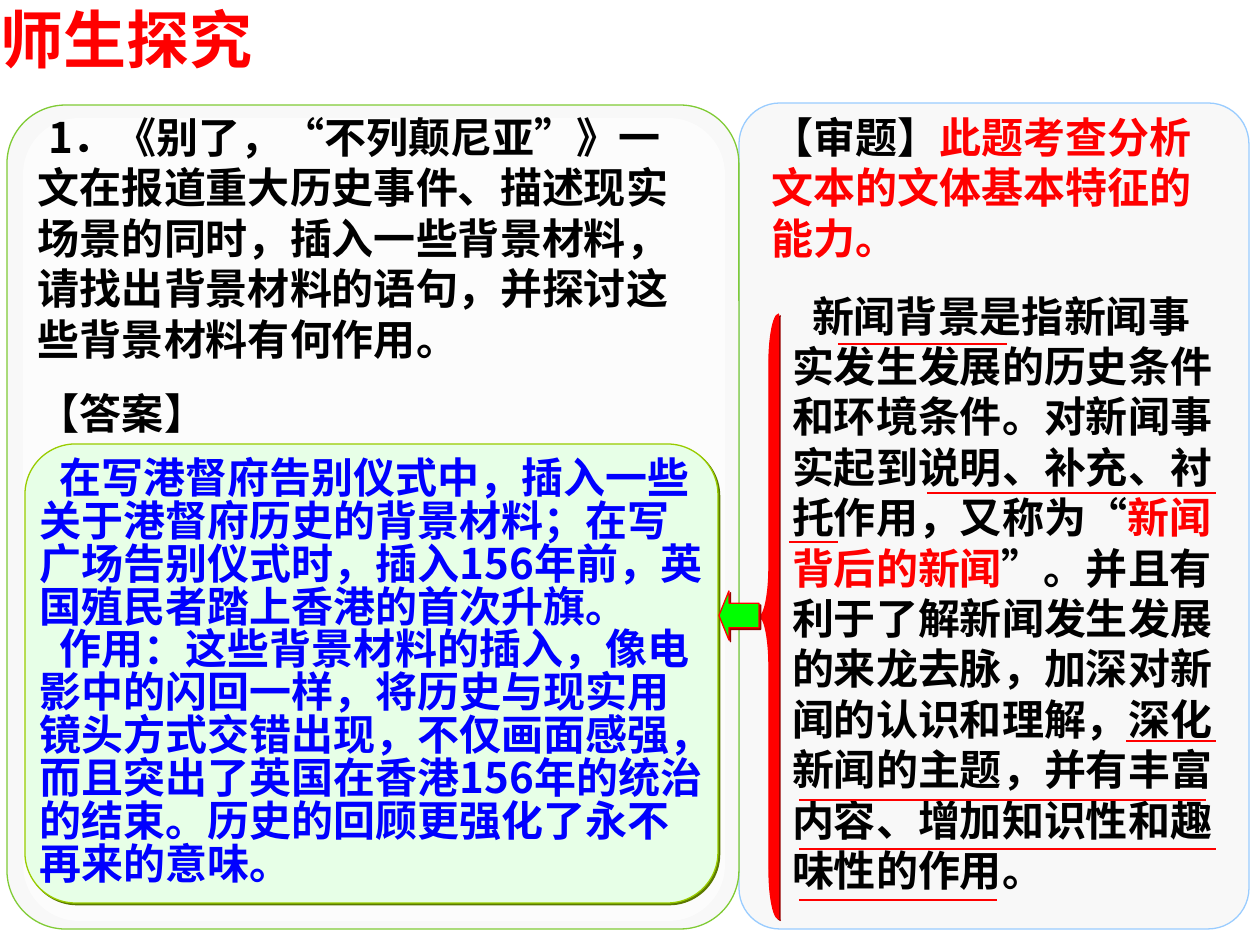
"""Builds a lesson slide on the use of background material in a news report."""
from dataclasses import dataclass

from lxml.etree import SubElement
from pptx import Presentation
from pptx.dml.color import RGBColor
from pptx.enum.shapes import MSO_CONNECTOR, MSO_SHAPE
from pptx.enum.text import MSO_ANCHOR, MSO_AUTO_SIZE, PP_ALIGN
from pptx.oxml.ns import qn
from pptx.util import Emu, Pt


@dataclass(frozen=True)
class Theme:
    red: str = "FF0000"
    black: str = "000000"
    blue: str = "0000FF"
    arrow: str = "00FF00"
    panel: str = "F8F8F8"
    panel_core: str = "FCFCFC"
    panel_green: str = "80CB35"
    panel_blue: str = "99CCFF"
    answer_fill: str = "E7FFE7"
    answer_line: str = "99CC00"
    answer_shadow: str = "5B7900"
    red_shadow: str = "980000"
    text_shadow: str = "808080"
    title_size: int = 36
    body_size: int = 24
    hairline: float = 0.75
    underline: float = 1
    title_font: str = "Arial"
    body_font: str = "Noto Sans CJK SC"


def px(length):
    return Emu(round(length * 914400 / 126))


def apply(target, values):
    for name, value in values.items():
        setattr(target, name, value)


def add_shadow(effects, color):
    shadow = SubElement(effects, qn("a:outerShdw"), dist="17780", dir="2700000", algn="ctr", rotWithShape="0")
    SubElement(shadow, qn("a:srgbClr"), val=color)


class LessonSlide:
    """Holds the theme and the slide being built."""

    def __init__(self, theme):
        self.theme = theme
        self.deck = Presentation()
        apply(self.deck, {"slide_width": px(1260), "slide_height": px(945)})
        self.slide = self.deck.slides.add_slide(self.deck.slide_layouts[5])

    def fill_text(self, holder, paragraphs, size, font, inset=(0, 0), anchor=MSO_ANCHOR.MIDDLE,
                  indent=0, spacing=None, shadowed=True):
        frame = holder.text_frame
        across, down = map(px, inset)
        apply(frame, {"word_wrap": True, "auto_size": MSO_AUTO_SIZE.NONE, "vertical_anchor": anchor,
                      "margin_left": across, "margin_right": across,
                      "margin_top": down, "margin_bottom": down})
        for number, pieces in enumerate(paragraphs):
            paragraph = frame.add_paragraph() if number else frame.paragraphs[0]
            apply(paragraph, {"alignment": PP_ALIGN.LEFT, "line_spacing": spacing})
            paragraph._p.get_or_add_pPr().set("indent", str(px(indent)))
            for text, color in pieces:
                run = paragraph.add_run()
                run.text = text
                apply(run.font, {"size": Pt(size), "bold": True})
                run.font.color.rgb = RGBColor.from_string(color)
                properties = run._r.get_or_add_rPr()
                if shadowed:
                    add_shadow(SubElement(properties, qn("a:effectLst")), self.theme.text_shadow)
                run.font.name = font
                if font == self.theme.body_font:
                    SubElement(properties, qn("a:ea"), typeface=font)

    def title(self, box, text):
        heading = self.slide.shapes.title
        apply(heading, dict(zip(("left", "top", "width", "height"), map(px, box))))
        self.fill_text(heading, [[(text, self.theme.red)]], self.theme.title_size,
                       self.theme.title_font, anchor=MSO_ANCHOR.TOP)

    def text(self, box, pieces, **layout):
        holder = self.slide.shapes.add_textbox(*map(px, box))
        style = {"font": self.theme.body_font, "inset": (13, 6), **layout}
        self.fill_text(holder, [pieces], self.theme.body_size, **style)

    def shape(self, kind, box, adjustments, fill, line=None, shadow=None):
        shape = self.slide.shapes.add_shape(kind, *map(px, box))
        for number, value in enumerate(adjustments):
            shape.adjustments[number] = value
        shape.fill.solid()
        shape.fill.fore_color.rgb = RGBColor.from_string(fill)
        if line:
            shape.line.color.rgb = RGBColor.from_string(line)
            shape.line.width = Pt(self.theme.hairline)
        else:
            shape.line.fill.background()
        shape.shadow.inherit = False
        if shadow:
            add_shadow(shape._element.spPr.find(qn("a:effectLst")), shadow)
        return shape

    def underline(self, left, right, y):
        rule = self.slide.shapes.add_connector(MSO_CONNECTOR.STRAIGHT, px(left), px(y), px(right), px(y))
        rule.line.color.rgb = RGBColor.from_string(self.theme.red)
        rule.line.width = Pt(self.theme.underline)
        SubElement(rule._element.spPr, qn("a:effectLst"))


def main():
    theme = Theme()
    lesson = LessonSlide(theme)
    rounded = MSO_SHAPE.ROUNDED_RECTANGLE
    lesson.shape(rounded, (739, 103, 510, 826), [0.08], theme.panel, theme.panel_blue)
    lesson.shape(rounded, (7, 105, 732, 824), [0.08], theme.panel, theme.panel_green)
    lesson.shape(rounded, (23, 118, 702, 803), [0.08], theme.panel_core)

    lesson.title((0, 0, 422, 76), "师生探究")
    lesson.text((25, 105, 684, 265), [
        ("1．《别了，“不列颠尼亚”》一文在报道重大历史事件、描述现实场景的同时，"
         "插入一些背景材料，请找出背景材料的语句，并探讨这些背景材料有何作用。", theme.black)], indent=10)

    answer = lesson.shape(rounded, (25, 444, 693, 459), [0.11], theme.answer_fill,
                          theme.answer_line, theme.answer_shadow)
    findings = [
        "在写港督府告别仪式中，插入一些关于港督府历史的背景材料；在写广场告别仪式时，"
        "插入156年前，英国殖民者踏上香港的首次升旗。",
        "作用：这些背景材料的插入，像电影中的闪回一样，将历史与现实用镜头方式交错出现，"
        "不仅画面感强，而且突出了英国在香港156年的统治的结束。历史的回顾更强化了永不再来的意味。"]
    lesson.fill_text(answer, [[(finding, theme.blue)] for finding in findings], theme.body_size,
                     theme.body_font, indent=20, spacing=0.85, shadowed=False)

    lesson.text((779, 284, 461, 617), [
        ("新闻背景是指新闻事实发生发展的历史条件和环境条件。对新闻事实起到说明、补充、衬托作用，又称为“",
         theme.black),
        ("新闻背后的新闻", theme.red),
        ("”。并且有利于了解新闻发生发展的来龙去脉，加深对新闻的认识和理解，深化新闻的主题，"
         "并有丰富内容、增加知识性和趣味性的作用。", theme.black)], indent=20)
    lesson.text((759, 105, 466, 164), [
        ("【审题】", theme.black), ("此题考查分析文本的文体基本特征的能力。", theme.red)])
    lesson.text((25, 382, 208, 63), [("【答案】", theme.black)],
                font=theme.title_font, anchor=MSO_ANCHOR.TOP)

    for left, right, y in [(838, 1007, 344), (927, 1216, 493), (789, 838, 542), (1126, 1216, 741),
                           (799, 1206, 800), (799, 1216, 849), (799, 997, 900)]:
        lesson.underline(left, right, y)

    lesson.shape(MSO_SHAPE.LEFT_BRACE, (759, 314, 20, 605), [2.5, 0.5],
                 theme.red, theme.red, theme.red_shadow)
    lesson.shape(MSO_SHAPE.LEFT_ARROW, (719, 591, 40, 49), [0.5, 0.25],
                 theme.arrow, theme.red, theme.red_shadow)
    lesson.deck.save("out.pptx")


if __name__ == "__main__":
    main()
